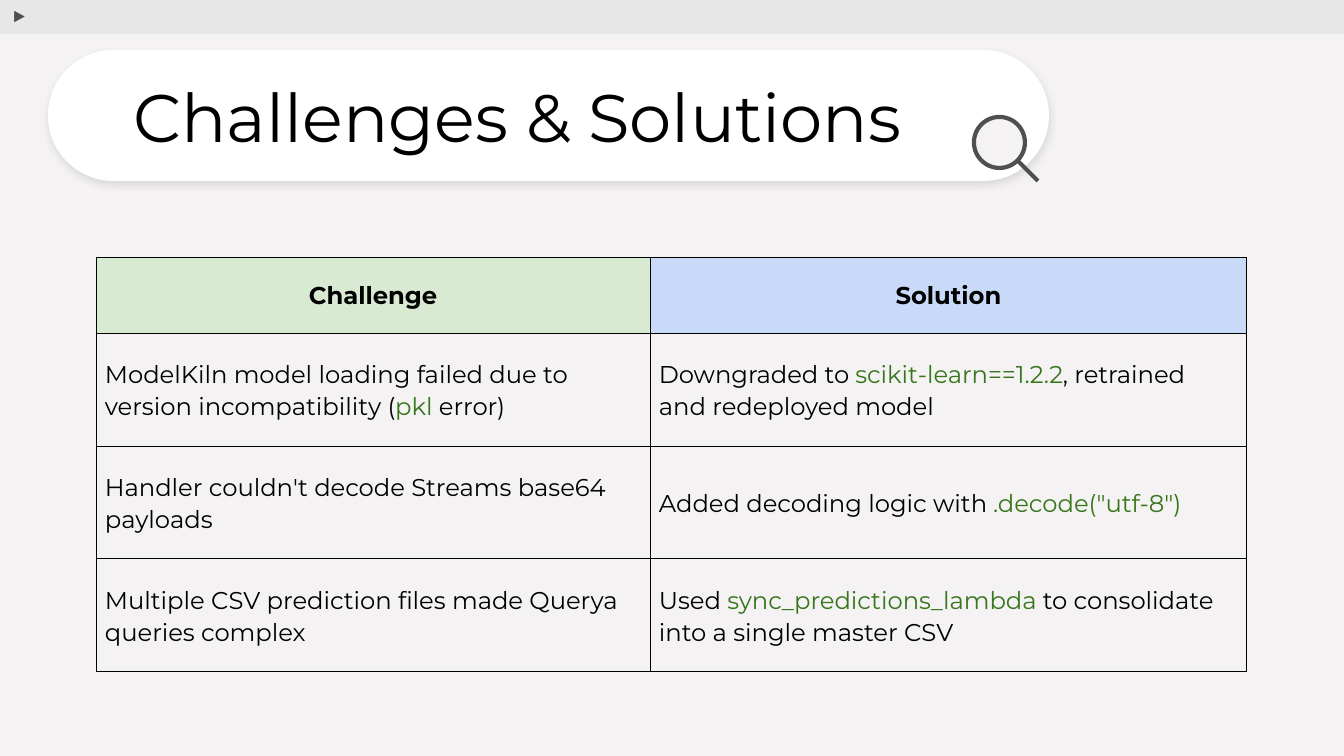
from pptx import Presentation, oxml
from pptx import util as u
from pptx.dml import color
from pptx.enum import shapes, text
from pptx.oxml import ns

SCALE = 914400 / 134.4  # EMU in one px
FONT = "Montserrat"
BLACK, GREY, BAR, PAGE, WHITE = "000000", "4F4F4F", "E7E7E7", "F4F2F2", "FFFFFF"
GREEN = "38761D"
HEADS = [("Challenge", "D9EAD3"), ("Solution", "C9DAF8")]
# Each cell is a list of spans; a one-item tuple marks a code term.
ROWS = [
    [["ModelKiln model loading failed due to version incompatibility (", ("pkl",), " error)"],
     ["Downgraded to ", ("scikit-learn==1.2.2",), ", retrained and redeployed model"]],
    [["Handler couldn't decode Streams base64 payloads"],
     ["Added decoding logic with ", ('.decode("utf-8")',)]],
    [["Multiple CSV prediction files made Querya queries complex"],
     ["Used ", ("sync_predictions_lambda",), " to consolidate into a single master CSV"]],
]


def px(length):
    return u.Emu(round(length * SCALE))


def rgb(code):
    return color.RGBColor.from_string(code)


def apply(target, values):
    for name, value in values.items():
        setattr(target, name, value)


def add_xml(parent, xml, index=None):
    element = oxml.parse_xml(xml.replace(">", f" {ns.nsdecls('a')}>", 1))
    parent.insert(len(parent) if index is None else index, element)


def set_line(line, code, width):
    line.color.rgb = rgb(code)
    line.width = u.Pt(width)


def add_shape(parent, kind, box, fill, line=None, width=0.75):
    shape = parent.add_shape(kind, *map(px, box))
    shape.shadow.inherit = False
    shape.fill.solid()
    shape.fill.fore_color.rgb = rgb(fill)
    if line:
        set_line(shape.line, line, width)
    else:
        shape.line.fill.background()
    return shape


def add_span(para, words, size, code=BLACK, bold=False):
    span = para.add_run()
    span.text = words
    apply(span.font, {"name": FONT, "size": u.Pt(size), "bold": bold})
    span.font.color.rgb = rgb(code)


def add_top_bar(page, left, top, width, height):
    kinds = shapes.MSO_SHAPE
    add_shape(page.shapes, kinds.RECTANGLE, (left, top, width, height), BAR)
    arrow = add_shape(page.shapes, kinds.ISOSCELES_TRIANGLE,
                      (left + 13, top + 10, 14, 13), GREY, BAR)
    arrow.rotation = 90


def add_magnifier(page, left, top, lens, handle):
    group = page.shapes.add_group_shape()
    add_shape(group.shapes, shapes.MSO_SHAPE.OVAL, (left, top, lens, lens), PAGE, GREY, 2.25)
    start = lens - 7
    end = start + handle
    stick = group.shapes.add_connector(
        shapes.MSO_CONNECTOR.STRAIGHT,
        *map(px, (left + start, top + start, left + end, top + end)))
    set_line(stick.line, GREY, 2.25)
    add_xml(stick._element.spPr, "<a:effectLst></a:effectLst>")


def add_search_title(page, left, top, width, height, words):
    # Pill with a soft shadow
    pill = add_shape(page.shapes, shapes.MSO_SHAPE.ROUNDED_RECTANGLE,
                     (left, top, width, height), WHITE)
    pill.adjustments[0] = 0.5
    effects = pill._element.spPr.find(ns.qn("a:effectLst"))
    add_xml(effects, f'<a:outerShdw blurRad="{u.Pt(4.5)}" dist="{u.Pt(1.5)}" dir="5400000" '
            f'algn="bl" rotWithShape="0"><a:srgbClr val="{BLACK}">'
            '<a:alpha val="10000"/></a:srgbClr></a:outerShdw>')
    add_magnifier(page, left + 926, top + 67, 51, 20)

    # Title text
    box = page.shapes.add_textbox(*map(px, (left + 72, top + 21, 809, 101)))
    inset = u.Inches(0.1)
    apply(box.text_frame, {"word_wrap": True, "margin_left": inset, "margin_right": inset,
                           "margin_top": inset, "margin_bottom": inset})
    para = box.text_frame.paragraphs[0]
    para.line_spacing = 0.9
    add_span(para, words, 36)


def format_cell(cell, fill=None):
    inset = px(9)
    apply(cell, {"vertical_anchor": text.MSO_ANCHOR.MIDDLE, "margin_left": inset,
                 "margin_right": inset, "margin_top": inset, "margin_bottom": inset})
    if fill:
        cell.fill.solid()
        cell.fill.fore_color.rgb = rgb(fill)
    else:
        cell.fill.background()
    for index, side in enumerate("LRTB"):
        add_xml(cell._tc.get_or_add_tcPr(),
                f'<a:ln{side} w="{u.Pt(0.5)}"><a:solidFill><a:srgbClr val="{BLACK}"/>'
                f'</a:solidFill></a:ln{side}>', index)
    para = cell.text_frame.paragraphs[0]
    apply(para, {"line_spacing": 1.07, "space_after": u.Pt(8)})
    return para


def add_solution_table(page, left, top, columns, head, row):
    heights = [head] + [row] * len(ROWS)
    frame = page.shapes.add_table(len(heights), len(columns), *map(
        px, (left, top, sum(columns), sum(heights))))
    table = frame.table
    apply(table, {"first_row": False, "horz_banding": False})
    for column, width in zip(table.columns, columns):
        column.width = px(width)
    for line, height in zip(table.rows, heights):
        line.height = px(height)

    # Header cells
    for column, (words, fill) in enumerate(HEADS):
        para = format_cell(table.cell(0, column), fill)
        para.alignment = text.PP_ALIGN.CENTER
        add_span(para, words, 13, bold=True)

    # Body cells
    for index, cells in enumerate(ROWS, 1):
        for column, spans in enumerate(cells):
            para = format_cell(table.cell(index, column))
            for span in spans:
                if isinstance(span, tuple):
                    add_span(para, span[0], 13, GREEN)
                else:
                    add_span(para, span, 13)


def main():
    deck = Presentation()
    apply(deck, {"slide_width": px(1344), "slide_height": px(756)})
    page = deck.slides.add_slide(deck.slide_layouts[6])
    page.background.fill.solid()
    page.background.fill.fore_color.rgb = rgb(PAGE)
    add_top_bar(page, 0, 0, 1344, 34)
    add_search_title(page, 48, 50, 1001, 131, "Challenges & Solutions")
    add_solution_table(page, 96, 257, [554, 597], 76, 113)
    deck.save("out.pptx")


if __name__ == "__main__":
    main()
